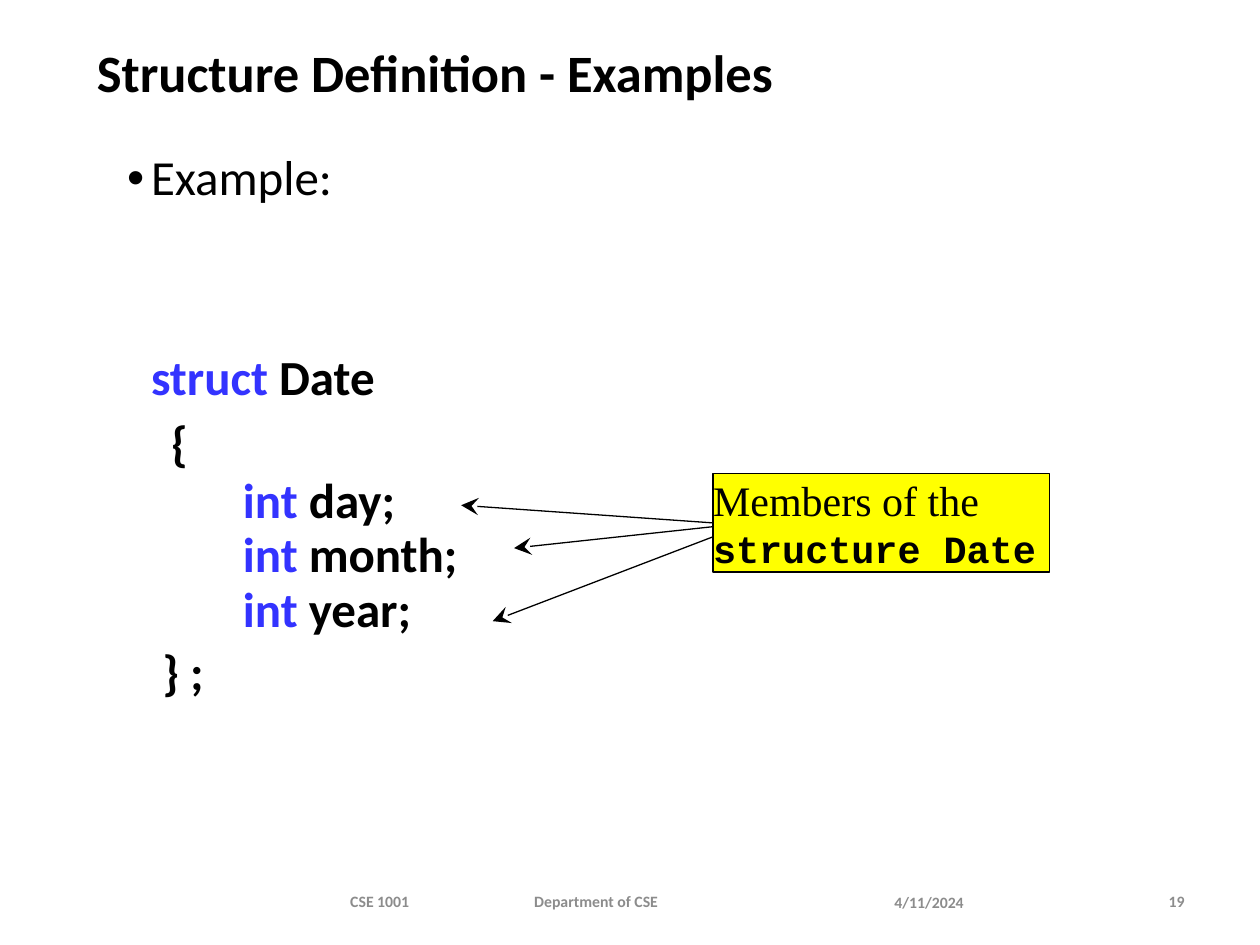
from dataclasses import dataclass

from lxml.etree import SubElement
from pptx import Presentation
from pptx.dml.color import RGBColor
from pptx.enum.shapes import MSO_CONNECTOR as Connector, MSO_SHAPE as Shape
from pptx.enum.text import MSO_ANCHOR as Anchor, PP_ALIGN as Align
from pptx.oxml.ns import qn
from pptx.util import Inches, Pt


@dataclass(frozen=True)
class Theme:
    ink: str = "000000"
    keyword: str = "3333FF"
    muted: str = "8C8C8C"
    callout: str = "FFFF00"
    sans: str = "Calibri"
    serif: str = "Times New Roman"
    mono: str = "Courier New"
    title: int = 30
    body: int = 28
    note: int = 24
    code: int = 22
    footer: int = 9
    line: float = 0.75
    tight: float = 0.7
    normal: float = 0.9
    gap: float = 7.5


class SlideBuilder:
    COLUMNS, ROWS = 100, 75

    def __init__(self, deck, theme):
        self.theme = theme
        self.column = deck.slide_width / self.COLUMNS
        self.row = deck.slide_height / self.ROWS
        self.page = deck.slides.add_slide(deck.slide_layouts[6])

    def place(self, left, top, width, height):
        return (round(left * self.column), round(top * self.row),
                round(width * self.column), round(height * self.row))

    def style(self, span, size, color, bold=False, face=None):
        span.font.size = Pt(size)
        span.font.name = face or self.theme.sans
        span.font.bold = bold
        span.font.color.rgb = RGBColor.from_string(color)

    def text_box(self, area, anchor=Anchor.MIDDLE):
        box = self.page.shapes.add_textbox(*self.place(*area))
        frame = box.text_frame
        frame.word_wrap = True
        frame.vertical_anchor = anchor
        return frame

    def title(self, area, text):
        para = self.text_box(area).paragraphs[0]
        para.text = text
        para.line_spacing = self.theme.normal
        self.style(para.runs[0], self.theme.title, self.theme.ink, True)

    def footer(self, area, text, align=Align.LEFT, inset=1, tab=None):
        frame = self.text_box(area)
        frame.margin_left = round(inset * self.column)
        para = frame.paragraphs[0]
        para.text = text
        para.alignment = align
        if tab:
            stops = SubElement(para._p.get_or_add_pPr(), qn("a:tabLst"))
            SubElement(stops, qn("a:tab"), pos=str(round(tab * self.column)), algn="l")
        for span in para.runs:
            self.style(span, self.theme.footer, self.theme.muted, True)

    def body(self, area, bullet, hanging, code, code_gap):
        frame = self.text_box(area, Anchor.TOP)
        first = frame.paragraphs[0]
        first.text = bullet
        first.line_spacing = self.theme.normal
        self.style(first.runs[0], self.theme.body, self.theme.ink)
        hang = round(hanging * self.column)
        props = first._p.get_or_add_pPr()
        props.set("marL", str(hang))
        props.set("indent", str(-hang))
        SubElement(props, qn("a:buFont"), typeface="Arial")
        SubElement(props, qn("a:buChar"), char="•")
        gap = code_gap
        for indent, spacing, keyword, rest in code:
            para = frame.add_paragraph()
            para.line_spacing = spacing
            para.space_before = Pt(gap)
            gap = self.theme.gap
            props = para._p.get_or_add_pPr()
            props.set("marL", str(round(indent * self.column)))
            props.set("indent", "0")
            for text, color in ((keyword, self.theme.keyword), (rest, self.theme.ink)):
                if text:
                    span = para.add_run()
                    span.text = text
                    self.style(span, self.theme.body, color, True)

    def callout(self, area, lead, code):
        box = self.page.shapes.add_shape(Shape.RECTANGLE, *self.place(*area))
        box.shadow.inherit = False
        box.fill.solid()
        box.fill.fore_color.rgb = RGBColor.from_string(self.theme.callout)
        box.line.color.rgb = RGBColor.from_string(self.theme.ink)
        box.line.width = Pt(self.theme.line)
        frame = box.text_frame
        frame.word_wrap = True
        frame.vertical_anchor = Anchor.MIDDLE
        frame.margin_left = frame.margin_right = frame.margin_top = frame.margin_bottom = 0
        para = frame.paragraphs[0]
        para.alignment = Align.LEFT
        para.text = lead
        self.style(para.runs[0], self.theme.note, self.theme.ink, face=self.theme.serif)
        span = para.add_run()
        span.text = code
        self.style(span, self.theme.code, self.theme.ink, True, self.theme.mono)
        return box

    def arrow(self, start, end, source=None):
        ends = self.place(*start, *end)
        link = self.page.shapes.add_connector(Connector.STRAIGHT, *ends)
        if source is not None:
            link.begin_connect(source, 1)
        link.line.color.rgb = RGBColor.from_string(self.theme.ink)
        link.line.width = Pt(self.theme.line)
        SubElement(link.line._get_or_add_ln(), qn("a:tailEnd"),
                   type="stealth", w="lg", len="lg")
        SubElement(link._element.spPr, qn("a:effectLst"))


def main():
    deck = Presentation()
    deck.slide_width, deck.slide_height = Inches(10), Inches(7.5)
    theme = Theme()
    slide = SlideBuilder(deck, theme)

    members = [(9.2, theme.tight, "int ", f"{name};") for name in ("day", "month", "year")]
    code = [
        (1.9, theme.normal, "struct ", "Date"),
        (3.5, theme.normal, "", "{"),
        *members,
        (2.8, theme.normal, "", "} ;"),
    ]
    slide.body((9.1, 11.7, 84.2, 56.7), "Example:", 1.9, code, code_gap=84)
    slide.title((6.7, 3, 72.5, 6), "Structure Definition - Examples")

    slide.footer((70, 69.6, 15, 4), "4/11/2024")
    slide.footer((14.2, 69.5, 51.7, 4), "CSE 1001\tDepartment of CSE", inset=13.6, tab=14.6)
    slide.footer((87.5, 69.5, 7.5, 4), "19", Align.RIGHT)

    left = 56.6
    callout = slide.callout((left, 37.6, 26.7, 7.8), "Members of the ", "structure Date")
    slide.arrow((left, 41.5), (36.6, 40.1), callout)
    slide.arrow((left, 41.8), (40.8, 43.5))
    slide.arrow((left, 42.6), (39.1, 49.3))

    deck.save("out.pptx")


if __name__ == "__main__":
    main()
